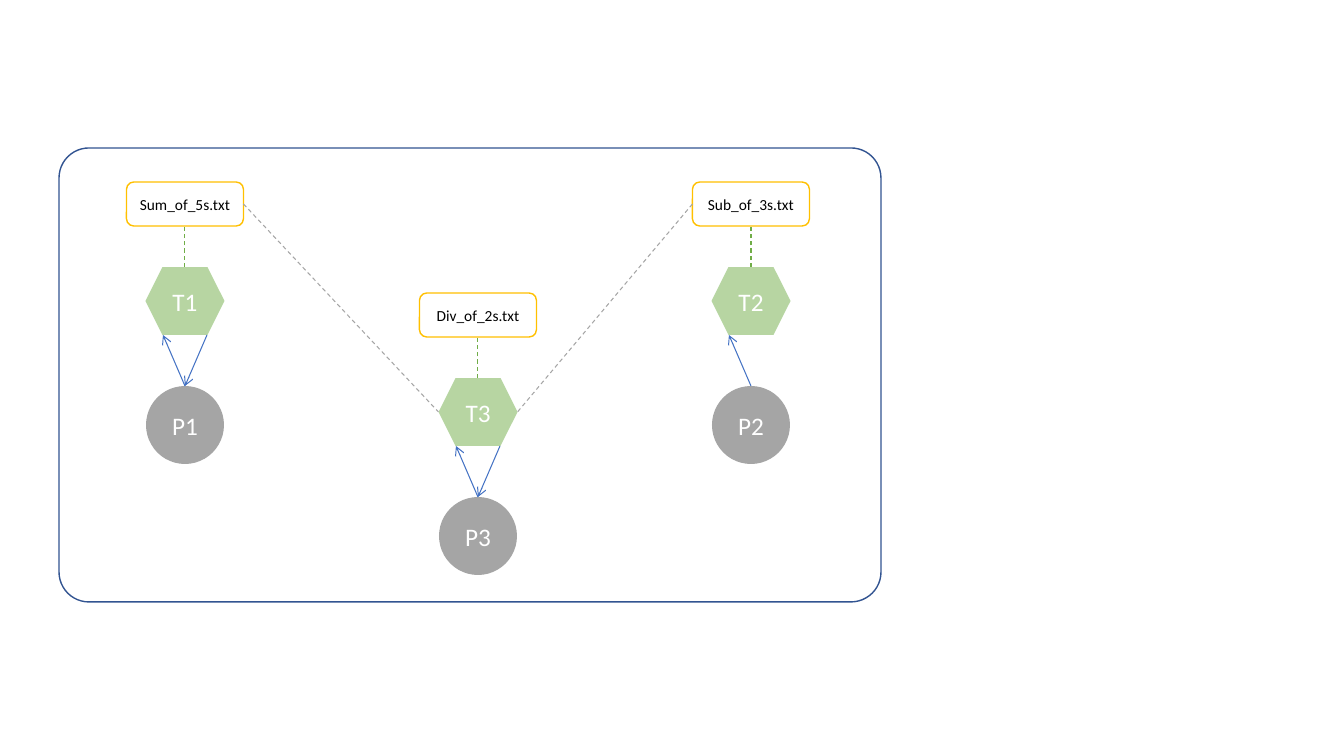
import pptx
import pptx.util
import pptx.dml.color
import pptx.enum.dml
import pptx.enum.shapes
import pptx.enum.text
import pptx.oxml.ns
import pptx.oxml.xmlchemy

# Content: thread, process, file, centre x and top y in px
GROUPS = [
    {"thread": "T1", "process": "P1", "file": "Sum_of_5s.txt", "x": 185, "y": 182, "returns": True},
    {"thread": "T2", "process": "P2", "file": "Sub_of_3s.txt", "x": 751, "y": 182, "returns": False},
    {"thread": "T3", "process": "P3", "file": "Div_of_2s.txt", "x": 478, "y": 293, "returns": True},
]

THEME = {
    "font": "Calibri", "node_size": 18, "file_size": 11,
    "white": "FFFFFF", "black": "000000", "frame": "325491",
    "process": "A5A5A5", "thread": "70AD47", "file": "FFC000",
    "arrow": "4472C4", "thin": 0.75, "outline": 1,
}

# Layout in px
SLIDE = (1344, 756)
FRAME = (59, 148, 822, 454)
FILE = (117, 44)
THREAD = (79, 68)
PROCESS = (78, 78)
THREAD_DROP, PROCESS_DROP = 85, 204
CORNER = 22  # distance of a hexagon's lower corners from its centre

SHAPES = pptx.enum.shapes.MSO_SHAPE


def px(length):
    return pptx.util.Emu(round(length * 914400 / 100.8))


def color(name):
    return pptx.dml.color.RGBColor.from_string(THEME[name])


def add_child(parent, tag, **attributes):
    child = pptx.oxml.xmlchemy.OxmlElement(tag)
    for name, value in attributes.items():
        child.set(name, value)
    parent.append(child)


def add_box(slide, kind, box, fill=None, line=None, opacity=None):
    shape = slide.shapes.add_shape(kind, *map(px, box))
    shape.shadow.inherit = False
    if fill:
        shape.fill.solid()
        shape.fill.fore_color.rgb = color(fill)
    else:
        shape.fill.background()
    if opacity:
        rgb = shape._element.spPr.find(".//" + pptx.oxml.ns.qn("a:srgbClr"))
        add_child(rgb, "a:alpha", val=str(opacity * 1000))
    if line:
        shape.line.color.rgb = color(line)
        shape.line.width = pptx.util.Pt(THEME["outline"])
    else:
        shape.line.fill.background()
    return shape


def write(shape, text, size, ink):
    frame = shape.text_frame
    frame.margin_left = frame.margin_right = 0
    frame.vertical_anchor = pptx.enum.text.MSO_ANCHOR.MIDDLE
    paragraph = frame.paragraphs[0]
    paragraph.alignment = pptx.enum.text.PP_ALIGN.CENTER
    run = paragraph.add_run()
    run.text = text
    run.font.name = THEME["font"]
    run.font.size = pptx.util.Pt(THEME[size])
    run.font.color.rgb = color(ink)


def connect(slide, start, end, ink, arrow=False):
    """Draw a solid line with an arrowhead at its end, or a plain dashed line."""
    connector = slide.shapes.add_connector(
        pptx.enum.shapes.MSO_CONNECTOR.STRAIGHT, *map(px, start + end))
    connector.line.color.rgb = color(ink)
    connector.line.width = pptx.util.Pt(THEME["thin"])
    properties = connector._element.spPr
    if arrow:
        add_child(properties.find(pptx.oxml.ns.qn("a:ln")), "a:tailEnd", type="arrow")
    else:
        connector.line.dash_style = pptx.enum.dml.MSO_LINE.DASH
    add_child(properties, "a:effectLst")


def centred(x, top, size):
    width, height = size
    return (x - width / 2, top, width, height)


def add_group(slide, group):
    """Stack a file, its thread and its process, joined by lines."""
    x, top = group["x"], group["y"]
    thread_top, process_top = top + THREAD_DROP, top + PROCESS_DROP
    thread_bottom = thread_top + THREAD[1]

    process = add_box(slide, SHAPES.OVAL, centred(x, process_top, PROCESS), fill="process")
    write(process, group["process"], "node_size", "white")
    thread = add_box(slide, SHAPES.HEXAGON, centred(x, thread_top, THREAD),
                     fill="thread", opacity=50)
    write(thread, group["thread"], "node_size", "white")
    file = add_box(slide, SHAPES.ROUNDED_RECTANGLE, centred(x, top, FILE),
                   fill="white", line="file")
    write(file, group["file"], "file_size", "black")

    connect(slide, (x, process_top), (x - CORNER, thread_bottom), "arrow", arrow=True)
    if group["returns"]:
        connect(slide, (x + CORNER, thread_bottom), (x, process_top), "arrow", arrow=True)
    connect(slide, (x, thread_top), (x, top + FILE[1]), "thread")


def link_file(slide, source, target):
    """Join the facing sides of one group's file and another group's thread."""
    side = 1 if target["x"] > source["x"] else -1
    start = (source["x"] + side * FILE[0] / 2, source["y"] + FILE[1] / 2)
    end = (target["x"] - side * THREAD[0] / 2, target["y"] + THREAD_DROP + THREAD[1] / 2)
    connect(slide, start, end, "process")


def main():
    presentation = pptx.Presentation()
    presentation.slide_width, presentation.slide_height = map(px, SLIDE)
    slide = presentation.slides.add_slide(presentation.slide_layouts[6])
    frame = add_box(slide, SHAPES.ROUNDED_RECTANGLE, FRAME, line="frame")
    frame.adjustments[0] = 0.066
    for group in GROUPS:
        add_group(slide, group)
    *sources, target = GROUPS
    for source in sources:
        link_file(slide, source, target)
    presentation.save("out.pptx")


if __name__ == "__main__":
    main()
